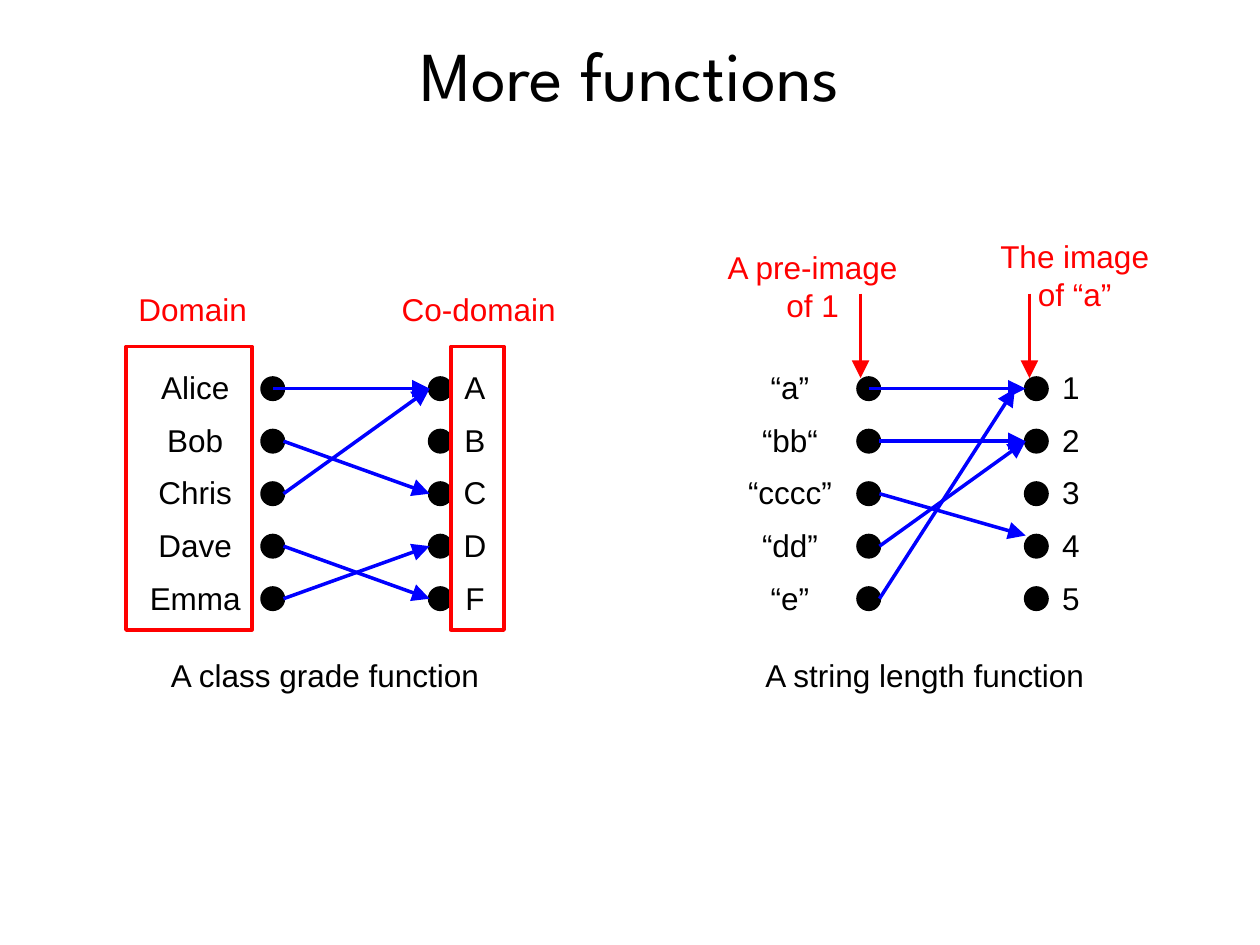
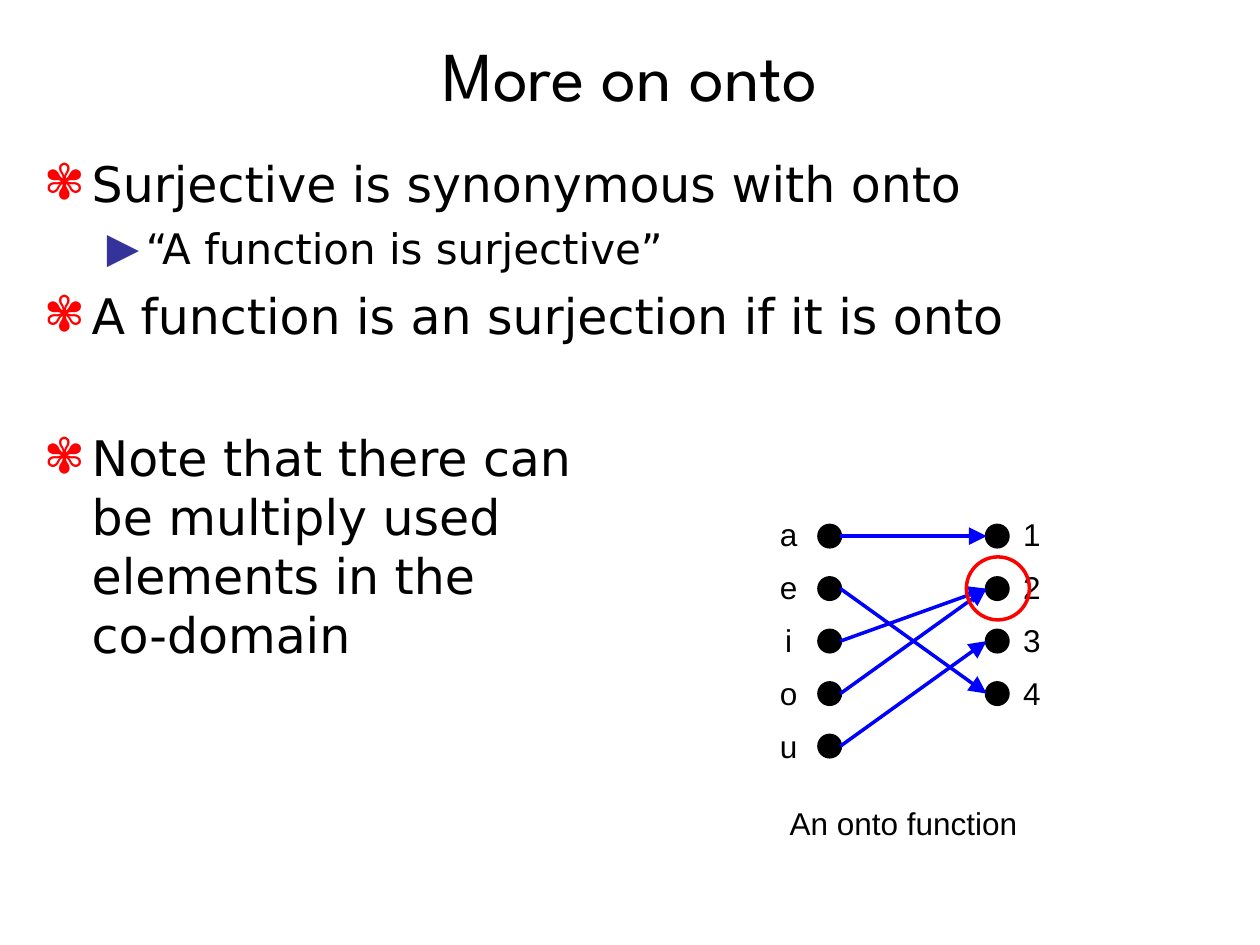
from lxml import etree
from pptx import Presentation
from pptx import util as u
from pptx.dml.color import RGBColor
from pptx.enum import shapes, text
from pptx.oxml.ns import qn

Inches, Pt = u.Inches, u.Pt

BLACK = RGBColor(0, 0, 0)
RED = RGBColor(0xFF, 0, 0)
BLUE = RGBColor(0, 0, 0xFF)
INDIGO = RGBColor(0x33, 0x33, 0x99)

TITLE_FONT, BODY_FONT, LABEL_FONT = "League Spartan", "DejaVu Sans", "Arial"

# Geometry of a mapping diagram, in inches
DOT = 0.17
ROW = 5 / 12
SPAN = 1.33


def write(tf, content, size=18, font=LABEL_FONT, color=BLACK,
          align=text.PP_ALIGN.CENTER, spacing=None):
    """Fill a text frame, one paragraph for each line of content."""
    for i, line in enumerate(content.split("\n")):
        p = tf.paragraphs[0] if i == 0 else tf.add_paragraph()
        p.text = line
        p.alignment = align
        if spacing:
            p.line_spacing = spacing
        for r in p.runs:
            r.font.size, r.font.name = Pt(size), font
            r.font.color.rgb = color


class Deck:
    def __init__(self):
        self.prs = Presentation()
        self.prs.slide_width, self.prs.slide_height = Inches(10), Inches(7.5)

    def new_slide(self, title):
        self.slide = self.prs.slides.add_slide(self.prs.slide_layouts[5])
        self.shapes = self.slide.shapes
        sp = self.shapes.title
        sp.left, sp.top = Inches(0.25), Inches(0.17)
        sp.width, sp.height = Inches(9.5), Inches(0.83)
        tf = sp.text_frame
        tf.auto_size = text.MSO_AUTO_SIZE.NONE
        tf.vertical_anchor = text.MSO_ANCHOR.MIDDLE
        write(tf, title, size=40, font=TITLE_FONT)

    def label(self, center, top, content, width=1, height=0.4, **fmt):
        sp = self.shapes.add_textbox(Inches(center - width / 2), Inches(top),
                                     Inches(width), Inches(height))
        sp.text_frame.word_wrap = False
        sp.text_frame.auto_size = text.MSO_AUTO_SIZE.SHAPE_TO_FIT_TEXT
        write(sp.text_frame, content, **fmt)

    def outline(self, kind, left, top, width, height, color=RED, fill=None):
        sp = self.shapes.add_shape(kind, Inches(left), Inches(top),
                                   Inches(width), Inches(height))
        sp.shadow.inherit = False
        if fill is None:
            sp.fill.background()
        else:
            sp.fill.solid()
            sp.fill.fore_color.rgb = fill
        sp.line.color.rgb, sp.line.width = color, Pt(2)

    def arrow(self, x1, y1, x2, y2, color=BLUE):
        line = self.shapes.add_connector(shapes.MSO_CONNECTOR.STRAIGHT, Inches(x1),
                                         Inches(y1), Inches(x2), Inches(y2))
        line.line.color.rgb, line.line.width = color, Pt(2)
        ln = line.line._get_or_add_ln()
        etree.SubElement(ln, qn("a:tailEnd"), type="triangle", w="lg", len="lg")
        etree.SubElement(line._element.spPr, qn("a:effectLst"))

    def dots(self, left, top, count):
        for row in range(count):
            self.outline(shapes.MSO_SHAPE.OVAL, left, top + row * ROW, DOT, DOT,
                         color=BLACK, fill=BLACK)

    def mapping(self, left, top, domain, codomain, arrows, domain_x, caption, caption_x):
        """Draw a function; an arrow is (from row, to row, start dx, end dx, end dy)."""
        self.shapes = self.slide.shapes.add_group_shape().shapes
        self.dots(left, top, len(domain))
        self.dots(left + SPAN, top, len(codomain))
        for src, dst, *shift in arrows:
            start_dx, end_dx, end_dy = shift or (0, 0, 0)
            mid = top + DOT / 2
            self.arrow(left + DOT + start_dx, mid + src * ROW,
                       left + SPAN + end_dx, mid + dst * ROW + end_dy)
        for center, names in ((domain_x, domain), (left + 1.69, codomain)):
            self.label(center, top - 0.25, "\n".join(names), height=2.2, spacing=1.4)
        self.label(caption_x, top + 2.16, caption, width=3)
        self.shapes = self.slide.shapes

    def bullets(self, items):
        """Items are (level, gap before in points, text)."""
        styles = ((28, 0.38, 0.38, "✾", RED), (24, 0.81, 0.31, "▶", INDIGO))
        sp = self.shapes.add_textbox(Inches(0.25), Inches(1.17), Inches(9.5), Inches(5.75))
        tf = sp.text_frame
        tf.word_wrap = True
        for i, (level, gap, content) in enumerate(items):
            size, margin, hang, char, color = styles[level]
            p = tf.paragraphs[0] if i == 0 else tf.add_paragraph()
            p.text, p.level, p.space_before = content, level, Pt(gap)
            for r in p.runs:
                r.font.size, r.font.name = Pt(size), BODY_FONT
                r.font.color.rgb = BLACK
            pPr = p._p.get_or_add_pPr()
            pPr.set("marL", str(Inches(margin)))
            pPr.set("indent", str(-Inches(hang)))
            tint = etree.SubElement(pPr, qn("a:buClr"))
            etree.SubElement(tint, qn("a:srgbClr"), val=str(color))
            etree.SubElement(pPr, qn("a:buFont"), typeface=BODY_FONT)
            etree.SubElement(pPr, qn("a:buChar"), char=char)


def more_functions(deck):
    deck.new_slide("More functions")

    # The two functions
    deck.mapping(6.81, 3, ["“a”", "“bb“", "“cccc”", "“dd”", "“e”"], "12345",
                 [(0, 0, -DOT / 2, 0, 0), (1, 1), (3, 1),
                  (2, 3, 0, 0, -DOT / 2), (4, 0, 0, -DOT / 2, 0)],
                 6.27, "A string length function", 7.34)
    deck.mapping(2.08, 3, ["Alice", "Bob", "Chris", "Dave", "Emma"], "ABCDF",
                 [(0, 0, -DOT / 2, 0, 0), (1, 2), (3, 4), (2, 0), (4, 3)],
                 1.55, "A class grade function", 2.58)

    # Domain and co-domain frames
    for left, width, center, name in ((1, 1, 1.53, "Domain"),
                                      (3.58, 0.42, 3.8, "Co-domain")):
        deck.outline(shapes.MSO_SHAPE.RECTANGLE, left, 2.75, width, 2.25)
        deck.label(center, 2.25, name, width=1.7, color=RED)

    # Image and pre-image pointers
    for x, center, top, name in ((6.83, 6.45, 1.92, "A pre-image\nof 1"),
                                 (8.17, 8.53, 1.83, "The image\nof “a”")):
        deck.arrow(x, 2.33, x, 3, color=RED)
        deck.label(center, top, name, width=1.8, height=0.7, color=RED)


def more_on_onto(deck):
    deck.new_slide("More on onto")
    deck.mapping(6.5, 4.17, "aeiou", "1234", [(0, 0), (1, 3), (3, 1), (2, 1), (4, 2)],
                 6.26, "An onto function", 7.17)
    deck.bullets([
        (0, 7, "Surjective is synonymous with onto"),
        (1, 6, "“A function is surjective”"),
        (0, 7, "A function is an surjection if it is onto"),
        (0, 47.5, "Note that there can\vbe multiply used\velements in the\vco-domain"),
    ])
    # Element used twice
    deck.outline(shapes.MSO_SHAPE.OVAL, 7.67, 4.42, 0.5, 0.5)


def main():
    deck = Deck()
    more_functions(deck)
    more_on_onto(deck)
    deck.prs.save("out.pptx")


if __name__ == "__main__":
    main()
